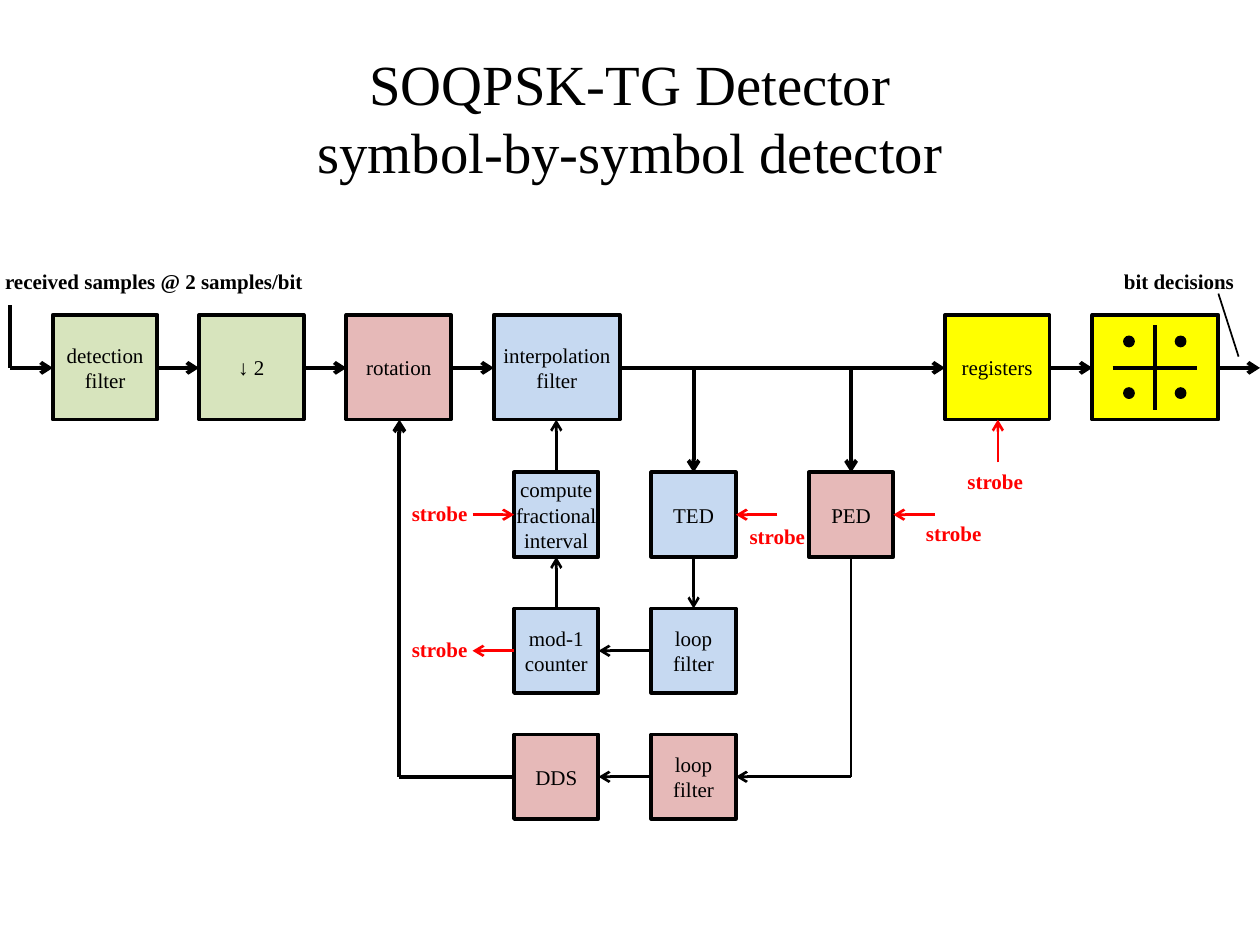
from pptx import Presentation
from pptx.dml.color import RGBColor
from pptx.enum.shapes import MSO_CONNECTOR, MSO_SHAPE
from pptx.enum.text import MSO_ANCHOR, PP_ALIGN
from pptx.oxml.ns import qn
from pptx.util import Inches, Pt
from lxml.etree import SubElement

BLACK = RGBColor(0x00, 0x00, 0x00)
RED = RGBColor(0xFF, 0x00, 0x00)
GREEN = RGBColor(0xD7, 0xE4, 0xBD)
PINK = RGBColor(0xE6, 0xB9, 0xB8)
BLUE = RGBColor(0xC6, 0xD9, 0xF1)
YELLOW = RGBColor(0xFF, 0xFF, 0x00)
FONT = "Times New Roman"
THICK, THIN, FINE = 2.25, 1.5, 1
BIG, SMALL = 0.83, 0.67  # block sides
HALF = SMALL / 2


def style(frame, size, color=BLACK, bold=None, align=None):
    for para in frame.paragraphs:
        para.alignment = align
        for run in para.runs:
            run.font.name = FONT
            run.font.size = Pt(size)
            run.font.bold = bold
            run.font.color.rgb = color


def block(shapes, x, y, w, h, fill, text="", inset=0.0, kind=MSO_SHAPE.RECTANGLE, line=THICK):
    shape = shapes.add_shape(kind, Inches(x), Inches(y), Inches(w), Inches(h))
    shape.shadow.inherit = False
    shape.fill.solid()
    shape.fill.fore_color.rgb = fill
    shape.line.color.rgb = BLACK
    shape.line.width = Pt(line)
    if text:
        frame = shape.text_frame
        frame.word_wrap = True
        frame.vertical_anchor = MSO_ANCHOR.MIDDLE
        frame.margin_left = frame.margin_right = Inches(inset)
        frame.text = text
        style(frame, 12, align=PP_ALIGN.CENTER)


def wire(shapes, x1, y1, x2, y2, width=THICK, color=BLACK, arrow=True):
    line = shapes.add_connector(MSO_CONNECTOR.STRAIGHT, Inches(x1), Inches(y1), Inches(x2), Inches(y2))
    line.line.color.rgb = color
    line.line.width = Pt(width)
    if arrow:
        SubElement(line.line._get_or_add_ln(), qn("a:tailEnd"), type="arrow")
    SubElement(line._element.spPr, qn("a:effectLst"))


def label(shapes, x, y, w, text="strobe", color=RED, inset=0.1):
    box = shapes.add_textbox(Inches(x), Inches(y), Inches(w), Inches(0.3))
    frame = box.text_frame
    frame.word_wrap = False
    frame.margin_left = frame.margin_right = Inches(inset)
    frame.text = text
    style(frame, 12, color, True)


def heading(shapes, x, y, w, h):
    box = shapes.add_textbox(Inches(x), Inches(y), Inches(w), Inches(h))
    frame = box.text_frame
    frame.word_wrap = True
    frame.vertical_anchor = MSO_ANCHOR.MIDDLE
    frame.text = "SOQPSK-TG Detector\vsymbol-by-symbol detector"
    style(frame, 32.4, align=PP_ALIGN.CENTER)


def slicer(shapes, x, y):
    """Decision block: a cross with one dot in each quadrant."""
    block(shapes, x, y, 1, BIG, YELLOW)
    group = shapes.add_group_shape().shapes
    wire(group, x + 0.5, y + 0.08, x + 0.5, y + 0.75, arrow=False)
    wire(group, x + 0.16, y + 0.42, x + 0.83, y + 0.42, arrow=False)
    for dx in (0.25, 0.66):
        for dy in (0.17, 0.58):
            block(group, x + dx, y + dy, 0.08, 0.08, BLACK, kind=MSO_SHAPE.OVAL, line=FINE)


def chain(shapes, x, y):
    """Main signal path from the samples to the bits."""
    mid = y + 0.42
    parts = [
        (0.42, BIG, GREEN, "detection filter", 0.1),
        (1.58, BIG, GREEN, "↓ 2", 0.1),
        (2.75, BIG, PINK, "rotation", 0.1),
        (3.92, 1, BLUE, "interpolation filter", 0),
        (7.5, BIG, YELLOW, "registers", 0.1),
    ]
    for left, wide, fill, text, inset in parts:
        block(shapes, x + left, y, wide, BIG, fill, text, inset)
    slicer(shapes, x + 8.67, y)
    starts = [0.08] + [left + wide for left, wide, *_ in parts] + [9.67]
    ends = [left for left, *_ in parts] + [8.67, 10]
    for start, end in zip(starts, ends):
        wire(shapes, x + start, mid, x + end, mid)

    # Input and output
    wire(shapes, x + 0.08, mid, x + 0.08, y - 0.08, arrow=False)
    wire(shapes, x + 9.83, y + 0.33, x + 9.67, y - 0.17, FINE, arrow=False)
    label(shapes, x + 0.04, y - 0.42, 2.39, "received samples @ 2 samples/bit", BLACK, 0)
    label(shapes, x + 8.92, y - 0.42, 0.9, "bit decisions", BLACK, 0)

    # Strobe of the registers
    wire(shapes, x + 7.92, y + 1.17, x + 7.92, y + BIG, THIN, RED)
    label(shapes, x + 7.58, y + 1.17, 0.65)


def timing(shapes, x, y):
    """Timing loop: two by two blocks below the interpolation filter."""
    right, low = x + 1.09, y + 1.08
    left_mid, right_mid = x + HALF, right + HALF
    top_mid, low_mid = y + HALF, low + HALF
    for left, top, text in [
        (x, y, "compute\nfractional\ninterval"),
        (right, y, "TED"),
        (x, low, "mod-1\ncounter"),
        (right, low, "loop\nfilter"),
    ]:
        block(shapes, left, top, SMALL, SMALL, BLUE, text)
    wire(shapes, right_mid, y - 0.83, right_mid, y)
    wire(shapes, right_mid, y + SMALL, right_mid, low, THIN)
    wire(shapes, right, low_mid, x + SMALL, low_mid, THIN)
    wire(shapes, left_mid, low, left_mid, y + SMALL, THIN)
    wire(shapes, left_mid, y, left_mid, y - 0.42, THIN)

    # Strobes
    wire(shapes, x - 0.33, top_mid, x, top_mid, THIN, RED)
    wire(shapes, x, low_mid, x - 0.33, low_mid, THIN, RED)
    wire(shapes, right + 1, top_mid, right + SMALL, top_mid, THIN, RED)
    label(shapes, x - 0.91, y + 0.17, 0.65)
    label(shapes, x - 0.91, low + 0.17, 0.65)
    label(shapes, x + 1.77, y + 0.36, 0.65)


def phase(shapes, x, y):
    """Phase loop: from the PED back to the rotation block."""
    ped, loop, dds, low = x + 3.25, x + 2, x + 0.91, y + 2.08
    ped_mid, low_mid, top_mid = ped + HALF, low + HALF, y + HALF
    for left, top, text in [(ped, y, "PED"), (loop, low, "loop\nfilter"), (dds, low, "DDS")]:
        block(shapes, left, top, SMALL, SMALL, PINK, text)
    wire(shapes, ped_mid, y - 0.83, ped_mid, y)
    wire(shapes, ped_mid, y + SMALL, ped_mid, low_mid, THIN, arrow=False)
    wire(shapes, ped_mid, low_mid, loop + SMALL, low_mid, THIN)
    wire(shapes, loop, low_mid, dds + SMALL, low_mid, THIN)
    wire(shapes, x, low_mid, dds, low_mid, arrow=False)
    wire(shapes, x, low_mid, x, y - 0.42)

    # Strobe
    wire(shapes, ped + 1, top_mid, ped + SMALL, top_mid, THIN, RED)
    label(shapes, x + 4.08, y + 0.33, 0.65)


deck = Presentation()
deck.slide_width = Inches(10)
deck.slide_height = Inches(7.5)
shapes = deck.slides.add_slide(deck.slide_layouts[6]).shapes
heading(shapes, 0.5, 0.3, 9, 1.25)
chain(shapes, 0, 2.5)
timing(shapes, 4.08, 3.75)
phase(shapes, 3.17, 3.75)
deck.save("out.pptx")
